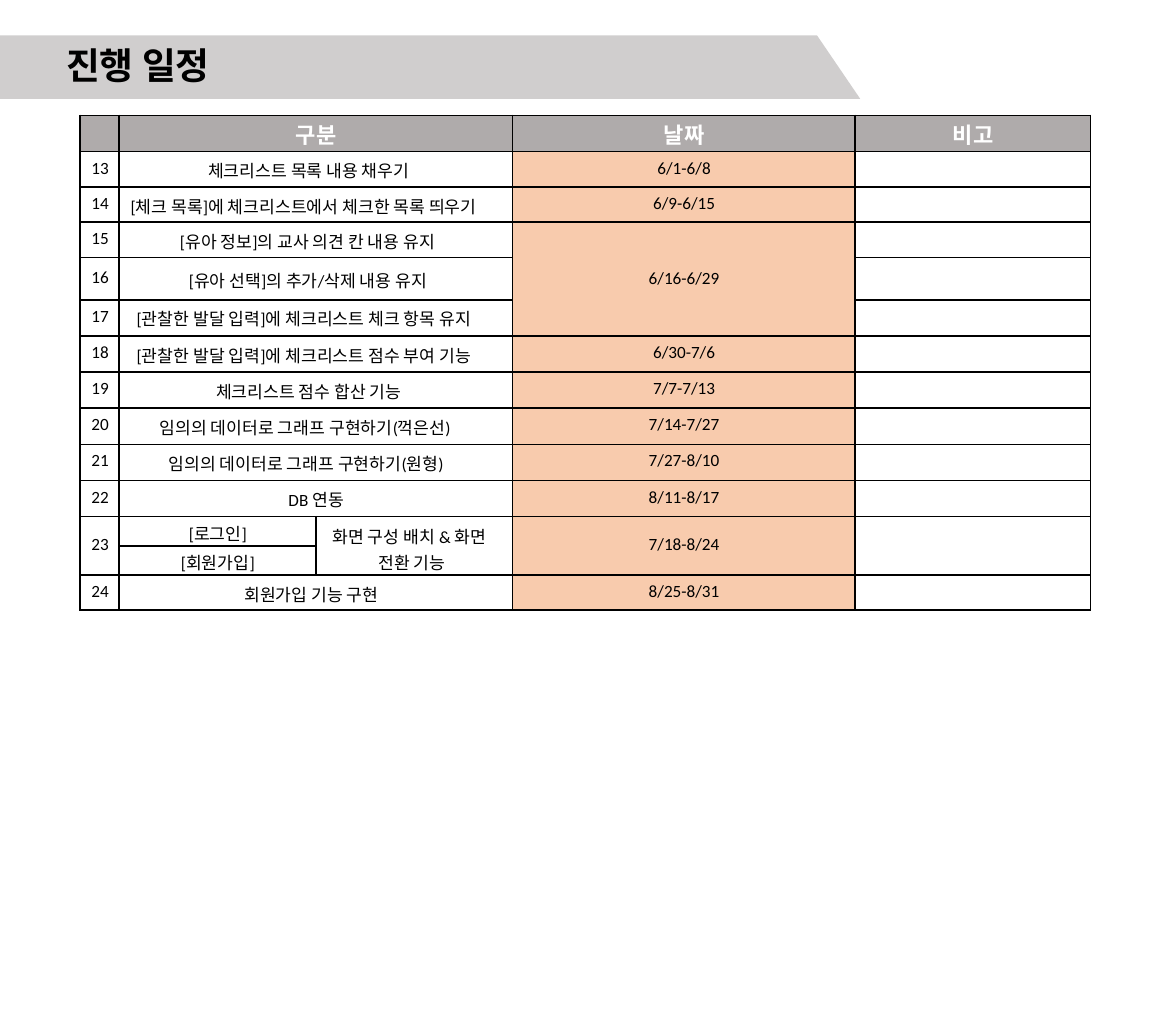
import pptx
import pptx.util
import pptx.dml.color
import pptx.enum.text
import pptx.oxml.ns
import lxml.etree

Inches = pptx.util.Inches
Pt = pptx.util.Pt
CENTER = pptx.enum.text.PP_ALIGN.CENTER
LEFT = pptx.enum.text.PP_ALIGN.LEFT
MIDDLE = pptx.enum.text.MSO_ANCHOR.MIDDLE

KOREAN, LATIN = "Noto Sans CJK KR", "Calibri"
BLACK, WHITE, BANNER, HEADER, DATE = "000000", "FFFFFF", "D0CECE", "AFABAB", "F8CBAD"
TITLE = "진행 일정"
BANNER_POINTS = [(9.26, 0.4), (0, 0.4), (0, 1.12), (9.75, 1.12)]
HEADINGS = {1: "구분", 3: "날짜", 4: "비고"}
COLUMN_WIDTHS = [0.44, 2.23, 2.23, 3.88, 2.67]
HEADER_HEIGHT = 0.41
SCHEDULE = [
    # 높이, 위 여백, 번호, 할 일, 들여쓰기, 날짜
]
SCHEDULE = [
    (0.4, 0.07, "13", "체크리스트 목록 내용 채우기", 1.01, "6/1-6/8"),
    (0.4, 0.07, "14", "[체크 목록]에 체크리스트에서 체크한 목록 띄우기", 0.13, "6/9-6/15"),
    (0.4, 0.07, "15", "[유아 정보]의 교사 의견 칸 내용 유지", 0.69, "6/16-6/29"),
    (0.48, 0.11, "16", "[유아 선택]의 추가/삭제 내용 유지", 0.79, ""),
    (0.41, 0.07, "17", "[관찰한 발달 입력]에 체크리스트 체크 항목 유지", 0.2, ""),
    (0.41, 0.07, "18", "[관찰한 발달 입력]에 체크리스트 점수 부여 기능", 0.2, "6/30-7/6"),
    (0.41, 0.07, "19", "체크리스트 점수 합산 기능", 1.1, "7/7-7/13"),
    (0.41, 0.07, "20", "임의의 데이터로 그래프 구현하기(꺽은선)", 0.46, "7/14-7/27"),
    (0.41, 0.07, "21", "임의의 데이터로 그래프 구현하기(원형)", 0.56, "7/27-8/10"),
    (0.41, 0.07, "22", "DB 연동", None, "8/11-8/17"),
    (0.33, 0.2, "23", "[로그인]", None, "7/18-8/24"),
    (0.33, 0.2, "", "[회원가입]", None, ""),
    (0.4, 0.07, "24", "회원가입 기능 구현", 1.42, "8/25-8/31"),
]
SHARED_DATE_ROWS = (3, 5)
SPLIT_ROWS = (11, 12)
SPLIT_TASK = "화면 구성 배치 & 화면 전환 기능"


def apply(target, values):
    for name, value in values.items():
        setattr(target, name, value)


def color(value):
    return pptx.dml.color.RGBColor.from_string(value)


def paint(target, value):
    target.fill.solid()
    target.fill.fore_color.rgb = color(value)


def split_scripts(text):
    parts = []
    for letter in text:
        font = LATIN if letter.isascii() else KOREAN
        if parts and (letter == " " or parts[-1][1] == font):
            parts[-1][0] += letter
        else:
            parts.append([letter, font])
    return parts


def write(para, text, size=14, shade=BLACK, bold=False, indent=None, hanging=0, inset=0):
    apply(para, {"alignment": CENTER if indent is None else LEFT,
                 "space_before": Pt(round(inset * 72, 1))})
    properties = para._p.get_or_add_pPr()
    properties.set("marL", str(Inches(indent or 0.01)))
    properties.set("indent", str(Inches(hanging)))
    for words, font in split_scripts(text):
        span = para.add_run()
        span.text = words
        apply(span.font, {"size": Pt(size), "bold": bold, "name": font})
        span.font.color.rgb = color(shade)
        east_asian = lxml.etree.SubElement(span.font._element, pptx.oxml.ns.qn("a:ea"))
        east_asian.set("typeface", font)


def frame_cell(cell, fill):
    apply(cell, {"margin_left": 0, "margin_right": 0, "margin_top": 0, "margin_bottom": 0})
    properties = cell._tc.get_or_add_tcPr()
    for side in ("lnL", "lnR", "lnT", "lnB"):
        line = lxml.etree.SubElement(properties, pptx.oxml.ns.qn("a:" + side), w=str(Pt(1.5)))
        solid = lxml.etree.SubElement(line, pptx.oxml.ns.qn("a:solidFill"))
        lxml.etree.SubElement(solid, pptx.oxml.ns.qn("a:srgbClr"), val=BLACK)
    if fill:
        paint(cell, fill)
    else:
        cell.fill.background()


def fill_cell(cell, text, inset, **style):
    if text:
        cell.margin_top = Inches(inset)
        write(cell.text_frame.paragraphs[0], text, inset=inset, **style)


def add_banner(page):
    corners = [(Inches(x), Inches(y)) for x, y in BANNER_POINTS]
    builder = page.shapes.build_freeform(*corners[0])
    builder.add_line_segments(corners[1:], close=True)
    banner = builder.convert_to_shape()
    banner.shadow.inherit = False
    paint(banner, BANNER)
    banner.line.fill.background()

    box = page.shapes.add_textbox(Inches(0.74), Inches(0.48), Inches(1.79), Inches(0.53))
    apply(box.text_frame, {"margin_left": 0, "margin_right": 0, "margin_bottom": 0,
                           "margin_top": Inches(0.01), "word_wrap": True,
                           "auto_size": pptx.enum.text.MSO_AUTO_SIZE.SHAPE_TO_FIT_TEXT})
    write(box.text_frame.paragraphs[0], TITLE, size=30, bold=True, indent=0.01, inset=0.01)


def add_schedule(page):
    heights = [HEADER_HEIGHT] + [row[0] for row in SCHEDULE]
    table = page.shapes.add_table(
        len(heights), len(COLUMN_WIDTHS), Inches(0.91), Inches(1.31),
        Inches(sum(COLUMN_WIDTHS)), Inches(sum(heights))).table
    apply(table, {"first_row": False, "horz_banding": False})
    for column, width in zip(table.columns, COLUMN_WIDTHS):
        column.width = Inches(width)
    for row_number, height in enumerate(heights):
        table.rows[row_number].height = Inches(height)
        for column_number in range(len(COLUMN_WIDTHS)):
            fill = HEADER if row_number == 0 else DATE if column_number == 3 else None
            frame_cell(table.cell(row_number, column_number), fill)
        if row_number not in SPLIT_ROWS:
            table.cell(row_number, 1).merge(table.cell(row_number, 2))
    first, last = SHARED_DATE_ROWS
    table.cell(first, 3).merge(table.cell(last, 3))
    top, bottom = SPLIT_ROWS
    for column_number in (0, 2, 3, 4):
        table.cell(top, column_number).merge(table.cell(bottom, column_number))

    for column_number, heading in HEADINGS.items():
        fill_cell(table.cell(0, column_number), heading, 0.03, size=18, shade=WHITE, bold=True)
    for row_number, (_, inset, number, task, indent, date) in enumerate(SCHEDULE, 1):
        task_inset = 0.04 if row_number in SPLIT_ROWS else inset
        date_inset = 0 if row_number == first else inset
        fill_cell(table.cell(row_number, 0), number, inset)
        fill_cell(table.cell(row_number, 1), task, task_inset, indent=indent)
        fill_cell(table.cell(row_number, 3), date, date_inset)
    table.cell(first, 3).vertical_anchor = MIDDLE
    split_cell = table.cell(top, 2)
    fill_cell(split_cell, SPLIT_TASK, 0.08, indent=0.71, hanging=-0.52)
    split_cell.text_frame.paragraphs[0].line_spacing = 1.01


def main():
    deck = pptx.Presentation()
    apply(deck, {"slide_width": Inches(13.33), "slide_height": Inches(11.69)})
    page = deck.slides.add_slide(deck.slide_layouts[6])
    add_banner(page)
    add_schedule(page)
    deck.save("out.pptx")


if __name__ == "__main__":
    main()
